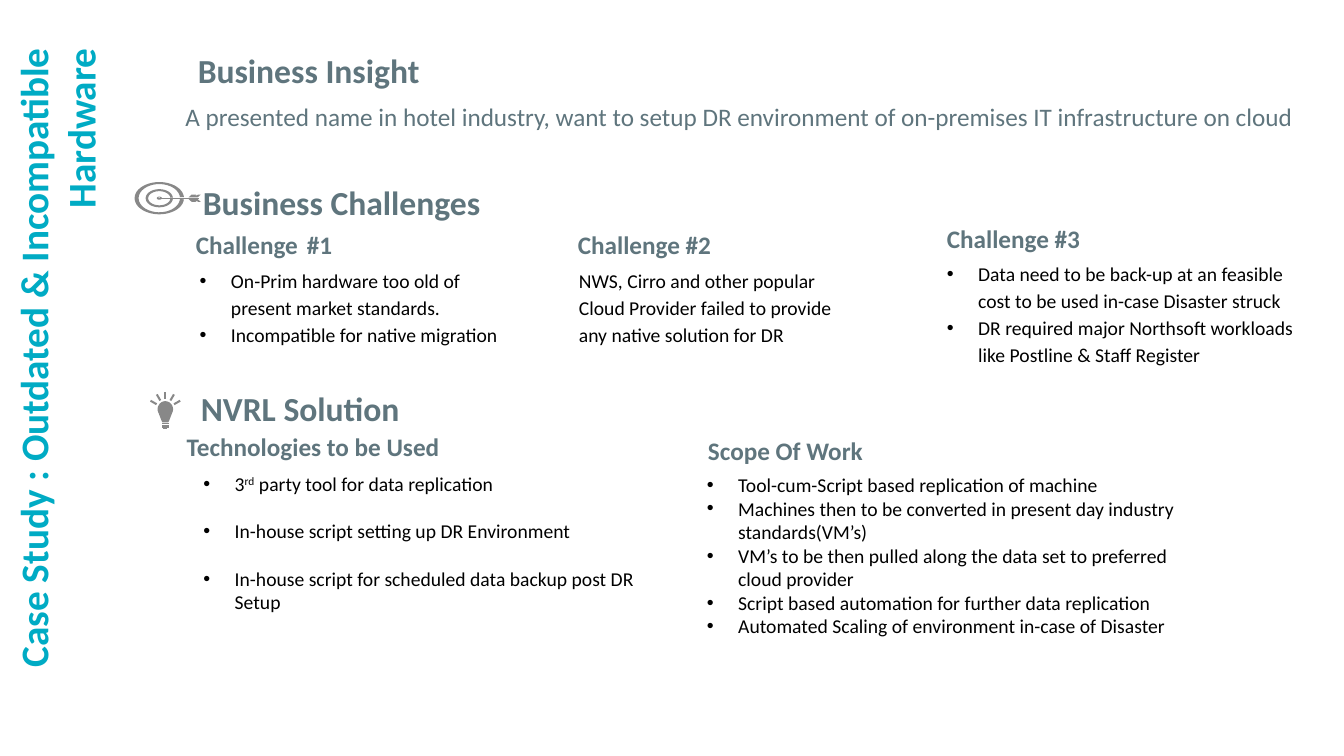
from math import cos, sin, radians
from pptx import Presentation, util as u
from pptx.dml.color import RGBColor
from pptx.enum import text
from pptx.oxml import parse_xml
from pptx.oxml.ns import nsdecls

COLORS = {"title": "00ABC4", "heading": "5F757D", "body": "000000", "icon": "888888"}

deck = Presentation()
deck.slide_width, deck.slide_height = u.Inches(13.33), u.Inches(7.5)
slide = deck.slides.add_slide(deck.slide_layouts[6])

# Grid of 160 columns by 90 rows with square cells
CELL = deck.slide_height / 90


def write(area, lines, size, color, bold=False, spacing=1.0, middle=False,
          bullets=False, gap=0, inset=0.86):
    left, top, width, height = (round(v * CELL) for v in area)
    frame = slide.shapes.add_textbox(left, top, width, height).text_frame
    frame.word_wrap = True
    frame.margin_left = frame.margin_right = round(inset * CELL)
    frame.margin_top = frame.margin_bottom = round(min(inset, 0.86) * CELL)
    if middle:
        frame.vertical_anchor = text.MSO_ANCHOR.MIDDLE
    frame.text = "\n".join(lines)
    for paragraph in frame.paragraphs:
        paragraph.line_spacing = spacing
        paragraph.space_after = u.Pt(gap)
        if bullets:
            props = paragraph._p.get_or_add_pPr()
            props.set("marL", str(u.Inches(0.31)))
            props.set("indent", str(-u.Inches(0.31)))
            props.append(parse_xml(f'<a:buFont {nsdecls("a")} typeface="Arial"/>'))
            props.append(parse_xml(f'<a:buChar {nsdecls("a")} char="•"/>'))
        for run in paragraph.runs:
            run.font.name, run.font.size, run.font.bold = "Calibri", u.Pt(size), bold
            run.font.color.rgb = RGBColor.from_string(COLORS[color])
    return frame


def outline(points):
    points = [(round(x * CELL), round(y * CELL)) for x, y in points]
    builder = slide.shapes.build_freeform(*points[0])
    builder.add_line_segments(points[1:])
    part = builder.convert_to_shape()
    part.shadow.inherit = False
    part.fill.solid()
    part.fill.fore_color.rgb = RGBColor.from_string(COLORS["icon"])
    part.line.fill.background()


# Vertical title along the left edge
case_title = write((0.24, 4.92, 8.16, 83.04),
                   ["Case Study : Outdated & Incompatible Hardware"], 28, "title", bold=True)
case_title._txBody.bodyPr.set("vert", "vert270")
case_title.paragraphs[0].alignment = text.PP_ALIGN.RIGHT

# Section headings
for heading, area in [
    ("Business Insight", (22.68, 5.04, 56.4, 3.84)),
    ("Business Challenges", (23.28, 20.76, 75.24, 4.08)),
    ("NVRL Solution", (23.04, 45.36, 86.64, 5.88)),
]:
    write(area, [heading], 24, "heading", bold=True)

write((20.88, 11.16, 135.12, 4.8),
      ["A presented name in hotel industry, want to setup DR environment of "
       "on-premises IT infrastructure on cloud"], 18, "heading", inset=1.2)

# Subheadings
for subheading, area in [
    ("Challenge #1", (22.44, 26.76, 43.08, 3.24)),
    ("Challenge #2", (67.92, 27, 30.12, 3.6)),
    ("Challenge #3", (111.84, 26.28, 37.68, 3.6)),
    ("Technologies to be Used", (21.36, 51.6, 33.6, 2.52)),
    ("Scope Of Work", (83.4, 52.2, 28.92, 2.4)),
]:
    frame = write(area, [subheading], 18, "heading", bold=True, spacing=1.15, middle=True)
    if subheading.endswith("#1"):
        # The first challenge has a wider space before its number
        frame.text = ""
        for piece, size in [("Challenge", 18), (" ", 28), ("#1", 18)]:
            run = frame.paragraphs[0].add_run()
            run.text = piece
            run.font.name, run.font.size, run.font.bold = "Calibri", u.Pt(size), True
            run.font.color.rgb = RGBColor.from_string(COLORS["heading"])

# Challenges
for area, challenge, bullets in [
    ((22.92, 30.72, 39.12, 11.28),
     ["On-Prim hardware too old of present market standards.",
      "Incompatible for native migration"], True),
    ((68.04, 30.72, 34.8, 11.64),
     ["NWS, Cirro and other popular Cloud Provider failed to provide "
      "any native solution for DR"], False),
    ((111.84, 29.88, 44.16, 11.64),
     ["Data need to be back-up at an feasible cost to be used in-case Disaster struck",
      "DR required major Northsoft workloads like Postline & Staff Register"], True),
]:
    write(area, challenge, 14, "body", spacing=1.15, bullets=bullets)

# Solution
technologies = write(
    (23.04, 55.32, 55.92, 18.12),
    ["3", "In-house script setting up DR Environment",
     "In-house script for scheduled data backup post DR Setup"],
    14, "body", bullets=True, gap=17, inset=1.2)
for piece, baseline in [("rd", "30000"), (" party tool for data replication", "0")]:
    run = technologies.paragraphs[0].add_run()
    run.text = piece
    run.font.name, run.font.size = "Calibri", u.Pt(14)
    run.font.color.rgb = RGBColor.from_string(COLORS["body"])
    run.font._element.set("baseline", baseline)

write((83.28, 55.44, 61.68, 11.64),
      ["Tool-cum-Script based replication of machine",
       "Machines then to be converted in present day industry standards(VM’s)",
       "VM’s to be then pulled along the data set to preferred cloud provider",
       "Script based automation for further data replication",
       "Automated Scaling of environment in-case of Disaster"],
      14, "body", bullets=True)

# Target icon: rings open on the right, where the arrow enters
target_x, target_y = 18.96, 23.6
for outer, inner in [((2.94, 1.92), (2.46, 1.68)), ((1.62, 1.08), (1.32, 0.84)),
                     ((0.3, 0.18), (0.12, 0.1))]:
    sweep = [radians(a) for a in range(4, 357, 8)]
    outline([(target_x + rx * cos(a), target_y + ry * sin(a))
             for (rx, ry), angles in [(outer, sweep), (inner, sweep[::-1])]
             for a in angles])
outline([(x, target_y + dy) for x, dy in
         [(18.84, -0.06), (23.64, -0.06), (23.64, 0.06), (18.84, 0.06)]])
for side in (-1, 1):
    outline([(x, target_y + side * dy) for x, dy in
             [(22.44, 0.1), (22.8, 0.42), (23.34, 0.42), (23.22, 0.26),
              (23.58, 0.42), (23.88, 0.42), (23.52, 0.1)]])

# Bulb icon: glass, rays and base
bulb_x, bulb_y = 19.68, 48.72
outline([(bulb_x + 0.92 * cos(radians(a)), bulb_y + 0.96 * sin(radians(a)))
         for a in range(150, 391, 10)]
        + [(bulb_x + dx, bulb_y + dy) for dx, dy in
           [(0.48, 1.3), (0.36, 1.56), (-0.36, 1.56), (-0.48, 1.3)]])
for angle in range(-60, 61, 30):
    s, c = sin(radians(angle)), cos(radians(angle))
    outline([(bulb_x + r * s + w * c, bulb_y - r * c + w * s)
             for r, w in [(1.2, -0.12), (2.04, -0.12), (2.04, 0.12), (1.2, 0.12)]])
for row, half in enumerate([0.4, 0.4, 0.4, 0.24]):
    y = bulb_y + 1.66 + 0.2 * row
    outline([(bulb_x - half, y), (bulb_x + half, y),
             (bulb_x + half, y + 0.13), (bulb_x - half, y + 0.13)])

deck.save("out.pptx")
